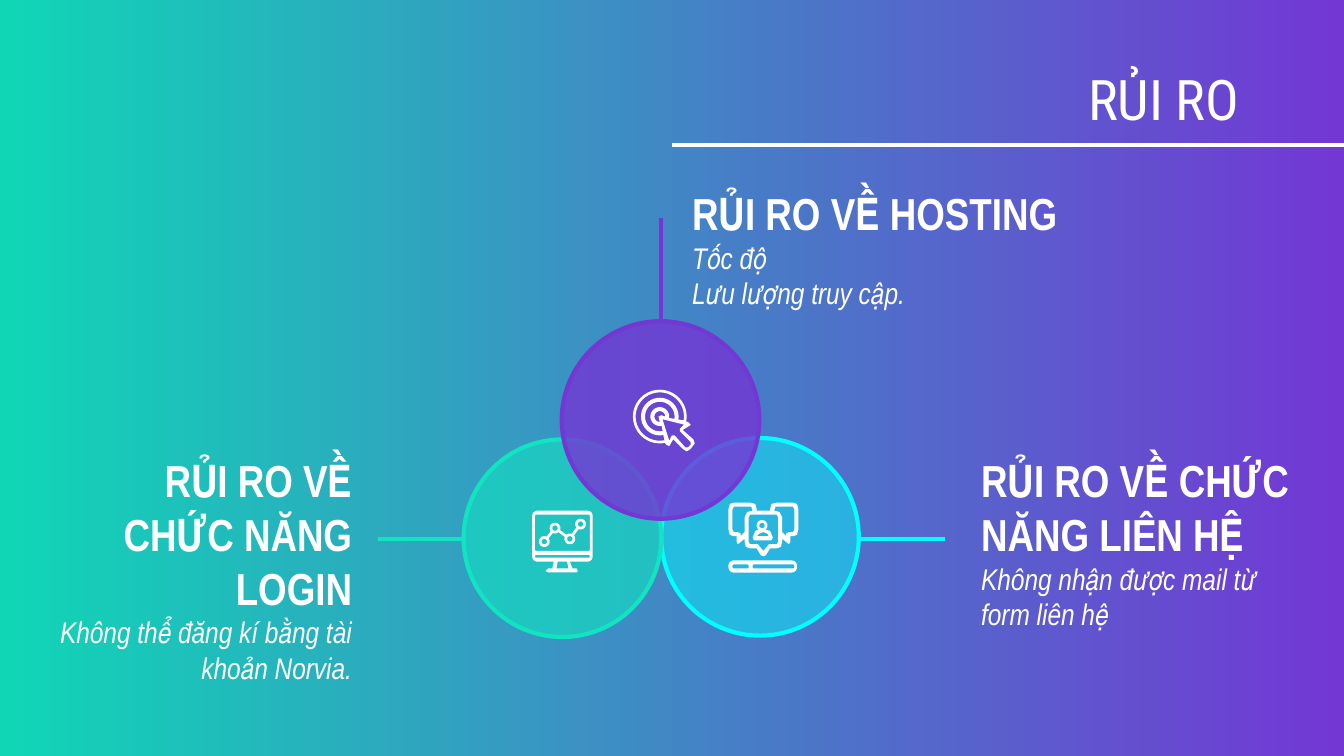
import dataclasses
import itertools
import math

import lxml.etree
import pptx
import pptx.dml.color
import pptx.enum.shapes
import pptx.enum.text
import pptx.oxml.ns
import pptx.util

Inches = pptx.util.Inches
Pt = pptx.util.Pt
Align = pptx.enum.text.PP_ALIGN
Anchor = pptx.enum.text.MSO_ANCHOR
qn = pptx.oxml.ns.qn


@dataclasses.dataclass(frozen=True)
class Theme:
    white: str = "FFFFFF"
    green: str = "11E4C1"
    cyan: str = "00FFFF"
    purple: str = "7337D4"
    gradient_start: str = "10D6B6"
    title_font: str = "Roboto Condensed"
    body_font: str = "Arial Narrow"
    title_size: int = 30
    heading_size: int = 24
    detail_size: int = 16
    line_width: float = 2.25


THEME = Theme()


def rgb(color):
    return pptx.dml.color.RGBColor.from_string(color)


def paint_background(slide):
    fill = slide.background.fill
    fill.gradient()
    fill.gradient_angle = 0
    stops = zip(fill.gradient_stops, (THEME.gradient_start, THEME.purple), (0, 1))
    for stop, color, position in stops:
        stop.color.rgb = rgb(color)
        stop.position = position


def add_line(slide, start, end, color):
    points = [Inches(value) for value in (*start, *end)]
    line = slide.shapes.add_connector(pptx.enum.shapes.MSO_CONNECTOR.STRAIGHT, *points)
    line.line.color.rgb = rgb(color)
    line.line.width = Pt(THEME.line_width)
    lxml.etree.SubElement(line._element.spPr, qn("a:effectLst"))


def add_circle(slide, left, top, color, opacity, diameter=1.47):
    circle = slide.shapes.add_shape(
        pptx.enum.shapes.MSO_SHAPE.OVAL,
        *map(Inches, (left, top, diameter, diameter)))
    circle.shadow.inherit = False
    circle.line.color.rgb = rgb(color)
    circle.line.width = Pt(THEME.line_width)
    circle.fill.solid()
    circle.fill.fore_color.rgb = rgb(color)
    fill_color = circle._element.spPr.find(qn("a:solidFill"))[0]
    lxml.etree.SubElement(fill_color, qn("a:alpha"), val=str(opacity * 1000))


def add_text(slide, box, lines, align=Align.LEFT, anchor=Anchor.TOP,
             font=THEME.body_font, margins=(0, 0.01, 0, 0)):
    frame = slide.shapes.add_textbox(*map(Inches, box)).text_frame
    frame.word_wrap = True
    frame.vertical_anchor = anchor
    (frame.margin_left, frame.margin_top,
     frame.margin_right, frame.margin_bottom) = map(Inches, margins)
    for index, (text, size, bold, italic) in enumerate(lines):
        paragraph = frame.add_paragraph() if index else frame.paragraphs[0]
        paragraph.alignment = align
        run = paragraph.add_run()
        run.text = text
        run.font.name = font
        run.font.size = Pt(size)
        run.font.bold = bold
        run.font.italic = italic
        run.font.color.rgb = rgb(THEME.white)


def add_risk(slide, box, heading, details, align=Align.LEFT):
    lines = [(heading, THEME.heading_size, True, False)]
    lines += [(detail, THEME.detail_size, False, True) for detail in details]
    add_text(slide, box, lines, align=align)


def arc(center, radius, start=0, end=360, steps=32):
    angles = [math.radians(start + (end - start) * step / steps)
              for step in range(steps + 1)]
    return [(center[0] + radius * math.cos(angle), center[1] + radius * math.sin(angle))
            for angle in angles]


def rounded(left, top, width, height, radius):
    right, bottom = left + width - radius, top + height - radius
    left, top = left + radius, top + radius
    corners = [(right, bottom), (left, bottom), (left, top), (right, top)]
    return [point for index, corner in enumerate(corners)
            for point in arc(corner, radius, 90 * index, 90 * index + 90, 6)]


def link(start, end, gap=0.04, half_width=0.01):
    length = math.dist(start, end)
    across, down = ((b - a) / length for a, b in zip(start, end))
    return [(x + side * down * half_width + step * across * gap,
             y - side * across * half_width + step * down * gap)
            for (x, y), step, side in
            ((start, 1, 1), (end, -1, 1), (end, -1, -1), (start, 1, -1))]


def mirror(points, axis=5.68):
    return [(2 * axis - x, y) for x, y in reversed(points)]


def add_icon(slide, contours):
    contours = [[(Inches(x), Inches(y)) for x, y in contour] for contour in contours]
    builder = slide.shapes.build_freeform(*contours[0][0])
    for contour in contours:
        if contour is not contours[0]:
            builder.move_to(*contour[0])
        builder.add_line_segments(contour[1:], close=True)
    icon = builder.convert_to_shape()
    icon.shadow.inherit = False
    icon.fill.solid()
    icon.fill.fore_color.rgb = rgb(THEME.white)
    icon.line.fill.background()


def add_target_icon(slide):
    center = (4.91, 3.1)
    silhouette = arc(center, 0.2, 79, 371) + [
        (5.12, 3.14), (5.14, 3.16), (5.13, 3.17), (5.08, 3.2), (5.16, 3.27),
        (5.17, 3.3), (5.14, 3.34), (5.11, 3.36), (5.08, 3.34), (5.01, 3.27),
        (4.98, 3.32), (4.96, 3.31)]
    rings = [arc(center, outer, 79, 369) + arc(center, inner, 369, 79)
             for outer, inner in ((0.18, 0.14), (0.11, 0.07))]
    bullseye = arc(center, 0.04, 90, 360) + [(4.92, 3.09), (4.9, 3.1)]
    cursor = [(4.93, 3.12), (5.09, 3.16), (5.06, 3.19), (5.06, 3.21), (5.14, 3.29),
              (5.14, 3.31), (5.12, 3.33), (5.1, 3.33), (5.02, 3.24), (5, 3.24),
              (4.98, 3.28)]
    add_icon(slide, [silhouette, *rings, bullseye, cursor])


def add_monitor_icon(slide):
    nodes = [(4.05, 4.03), (4.13, 3.93), (4.24, 4.01), (4.32, 3.9)]
    rings = [arc(node, radius) for node in nodes for radius in (0.04, 0.02)]
    links = [link(start, end) for start, end in itertools.pairwise(nodes)]
    add_icon(slide, rings + links)

    stand = [(4.12, 4.18), (4.11, 4.23), (4.08, 4.23), (4.06, 4.25), (4.08, 4.26),
             (4.29, 4.26), (4.3, 4.25), (4.29, 4.23), (4.26, 4.23), (4.24, 4.18)]
    opening = [(4.15, 4.18), (4.14, 4.23), (4.23, 4.23), (4.22, 4.18)]
    add_icon(slide, [rounded(3.96, 3.8, 0.45, 0.38, 0.04),
                     rounded(3.98, 3.83, 0.41, 0.27, 0.01),
                     rounded(3.98, 4.13, 0.41, 0.02, 0.01), stand, opening])


def add_chat_icon(slide):
    head = (5.67, 3.91)
    person = arc(head, 0.04, 130, 410) + [
        (5.73, 3.95), (5.75, 4), (5.74, 4.02), (5.61, 4.02), (5.6, 4), (5.62, 3.95)]
    chest = [(5.68, 3.96), (5.71, 3.97), (5.72, 3.99), (5.63, 3.99), (5.65, 3.97)]
    add_icon(slide, [person, arc(head, 0.02), chest])

    add_icon(slide, [rounded(5.42, 4.17, 0.51, 0.09, 0.04),
                     rounded(5.45, 4.2, 0.12, 0.03, 0.01),
                     rounded(5.6, 4.2, 0.31, 0.03, 0.01)])

    outside = [(5.63, 3.8), (5.63, 3.79), (5.62, 3.75), (5.58, 3.74), (5.46, 3.74),
               (5.43, 3.75), (5.42, 3.79), (5.42, 3.94), (5.43, 3.98), (5.46, 3.99),
               (5.48, 3.99), (5.48, 4.03), (5.49, 4.05), (5.54, 4.01), (5.54, 4.03),
               (5.55, 4.07), (5.58, 4.08), (5.63, 4.08), (5.66, 4.13), (5.68, 4.14)]
    front = [(5.58, 3.83), (5.57, 3.85), (5.57, 4.03), (5.58, 4.05), (5.64, 4.05),
             (5.68, 4.1)]
    side = [(5.59, 3.77), (5.6, 3.8), (5.56, 3.81), (5.54, 3.85), (5.54, 3.96),
            (5.51, 3.99), (5.51, 3.97), (5.49, 3.96), (5.46, 3.96), (5.45, 3.94),
            (5.45, 3.79), (5.46, 3.77)]
    add_icon(slide, [outside + mirror(outside), front + mirror(front),
                     side, mirror(side)])


def main():
    presentation = pptx.Presentation()
    presentation.slide_width = Inches(10)
    presentation.slide_height = presentation.slide_width * 9 // 16
    slide = presentation.slides.add_slide(presentation.slide_layouts[6])
    paint_background(slide)

    add_line(slide, (5, 1.08), (10, 1.08), THEME.white)
    circles = [
        (4.92, 3.26, THEME.cyan, 45, (7.03, 4.01), (6.39, 4.01)),
        (3.45, 3.27, THEME.green, 60, (3.45, 4.01), (2.81, 4.01)),
        (4.18, 2.39, THEME.purple, 81, (4.92, 2.38), (4.92, 1.62)),
    ]
    for left, top, color, opacity, start, end in circles:
        add_circle(slide, left, top, color, opacity)
        add_line(slide, start, end, color)

    add_text(slide, (0.68, 0.15, 8.64, 0.93),
             [("RỦI RO", THEME.title_size, False, False)], align=Align.RIGHT,
             anchor=Anchor.BOTTOM, font=THEME.title_font, margins=(0.1,) * 4)
    add_target_icon(slide)
    add_risk(slide, (5.15, 1.37, 2.72, 0.3), "RỦI RO VỀ HOSTING",
             ["Tốc độ", "Lưu lượng truy cập."])
    add_risk(slide, (7.3, 3.36, 2.35, 0.66), "RỦI RO VỀ CHỨC NĂNG LIÊN HỆ",
             ["Không nhận được mail từ form liên hệ"])
    add_risk(slide, (0.44, 3.36, 2.18, 0.66), "RỦI RO VỀ CHỨC NĂNG LOGIN",
             ["Không thể đăng kí bằng tài khoản Norvia."], align=Align.RIGHT)
    add_monitor_icon(slide)
    add_chat_icon(slide)
    presentation.save("out.pptx")


if __name__ == "__main__":
    main()
